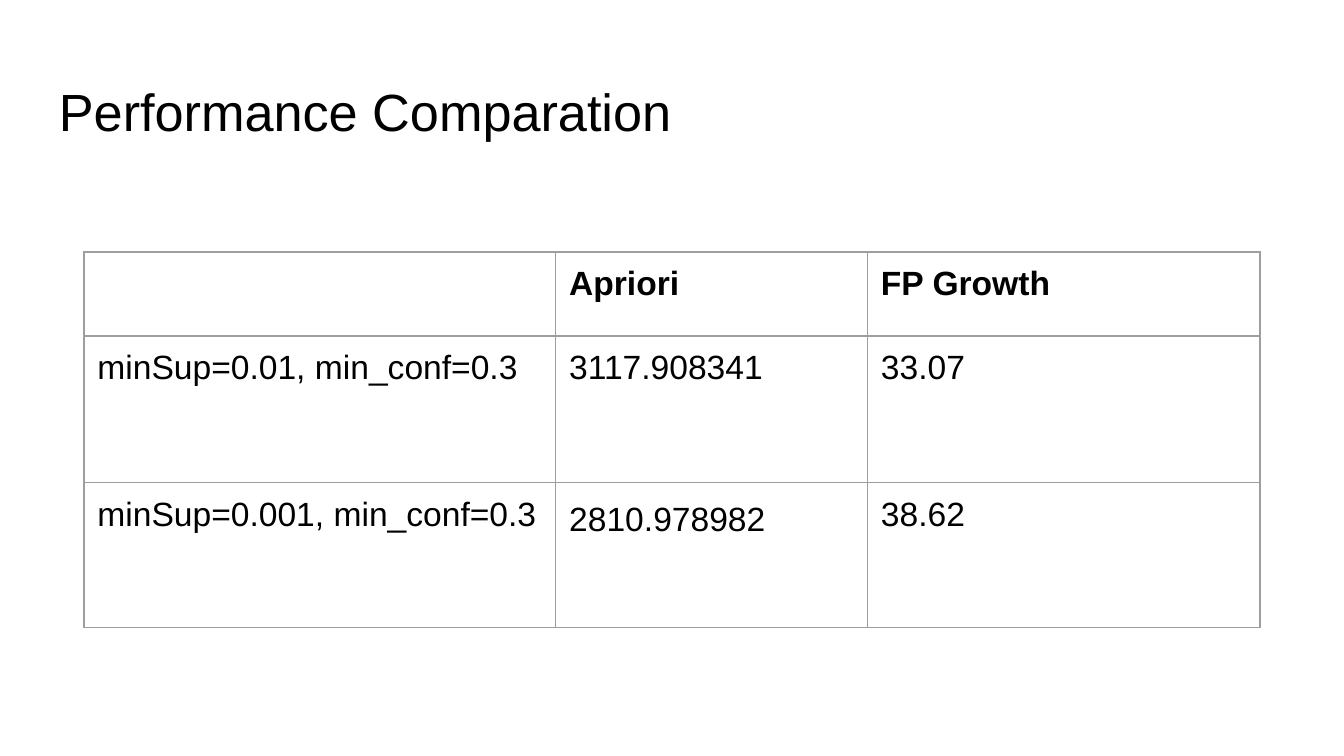
from lxml import etree
from pptx import Presentation
from pptx import util as u
from pptx.dml.color import RGBColor
from pptx.oxml.ns import qn

BLACK, GRAY, WHITE = "000000", "9E9E9E", "FFFFFF"
WIDTH = u.Inches(10)
HEIGHT = WIDTH * 9 // 16
COLUMNS = [u.Inches(width) for width in (3.51, 2.32, 2.92)]
ROWS = [HEIGHT // 9, u.Inches(1.09), u.Inches(1.08)]
RESULTS = [
    ["", "Apriori", "FP Growth"],
    ["minSup=0.01, min_conf=0.3", "3117.908341", "33.07"],
    ["minSup=0.001, min_conf=0.3", "2810.978982", "38.62"],
]
SIDES = ["left", "right", "top", "bottom"]


def write(holder, words, **font_values):
    """Put one black Arial paragraph into a text box or cell, with even margins."""
    for side in SIDES:
        setattr(holder, f"margin_{side}", u.Inches(0.1))
    frame = getattr(holder, "text_frame", holder)
    paragraph = frame.paragraphs[0]
    font = paragraph.font
    if words:
        run = paragraph.add_run()
        run.text = words
        font = run.font
    for name, value in {"name": "Arial", **font_values}.items():
        setattr(font, name, value)
    font.color.rgb = RGBColor.from_string(BLACK)


def add_borders(cell, color, points):
    properties = cell._tc.get_or_add_tcPr()
    for position, tag in enumerate(["a:lnL", "a:lnR", "a:lnT", "a:lnB"]):
        line = etree.Element(qn(tag), w=str(u.Pt(points)))
        fill = etree.SubElement(line, qn("a:solidFill"))
        etree.SubElement(fill, qn("a:srgbClr"), val=color)
        properties.insert(position, line)


presentation = Presentation()
presentation.slide_width = WIDTH
presentation.slide_height = HEIGHT
slide = presentation.slides.add_slide(presentation.slide_layouts[6])
slide.background.fill.solid()
slide.background.fill.fore_color.rgb = RGBColor.from_string(WHITE)

title_area = map(u.Inches, (0.34, 0.49, 9.32, 0.63))
title = slide.shapes.add_textbox(*title_area).text_frame
title.word_wrap = True
write(title, "Performance Comparation", size=u.Pt(28))

table = slide.shapes.add_table(
    len(ROWS), len(COLUMNS), WIDTH // 16, HEIGHT // 3, sum(COLUMNS), sum(ROWS)
).table
table.first_row = table.horz_banding = False
for column, width in zip(table.columns, COLUMNS):
    column.width = width
for row, height in zip(table.rows, ROWS):
    row.height = height

for row_index, values in enumerate(RESULTS):
    for column_index, value in enumerate(values):
        cell = table.cell(row_index, column_index)
        cell.fill.background()
        add_borders(cell, GRAY, 0.75)
        write(cell, value, size=u.Pt(18), bold=row_index == 0)

table.cell(2, 1).text_frame.paragraphs[0].line_spacing = 1.15

presentation.save("out.pptx")
